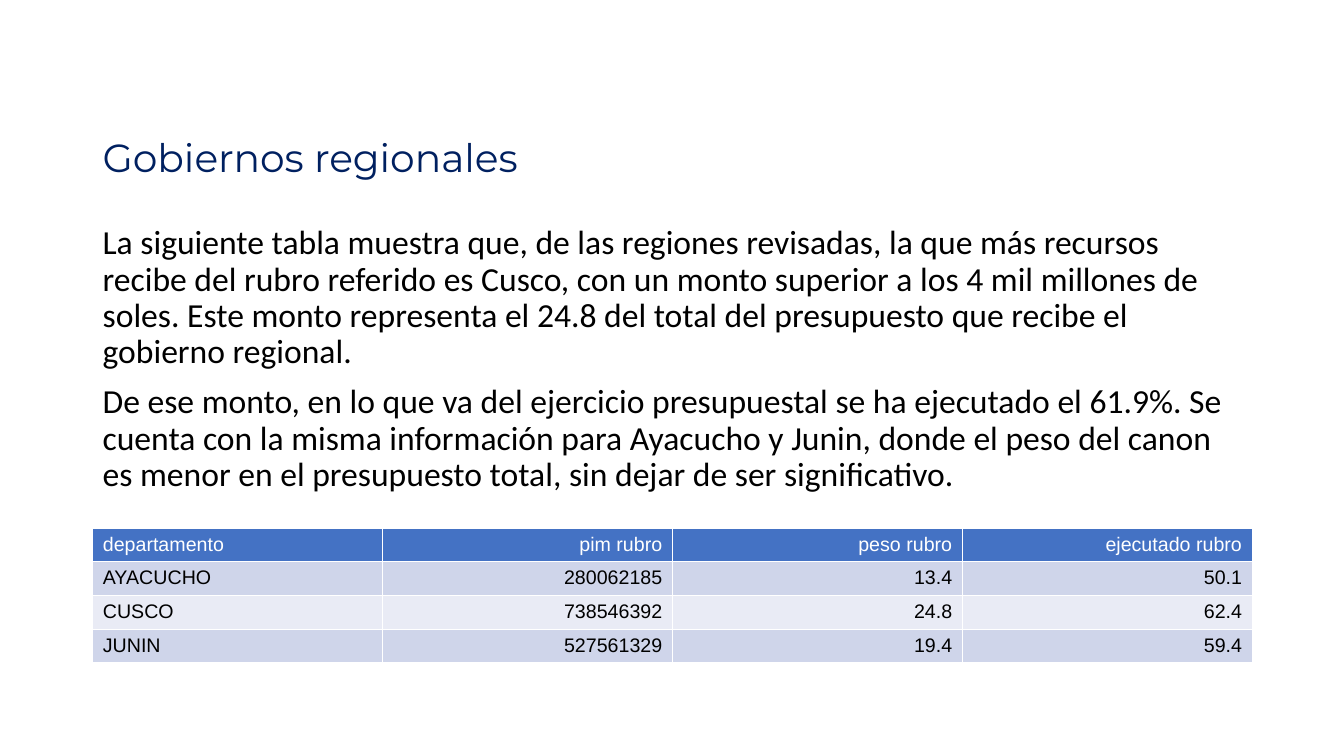
from dataclasses import dataclass

from pptx import Presentation
from pptx.dml.color import RGBColor
from pptx.enum.text import MSO_ANCHOR, PP_ALIGN
from pptx.util import Inches, Pt

LEFT, RIGHT = PP_ALIGN.LEFT, PP_ALIGN.RIGHT
TOP, MIDDLE = MSO_ANCHOR.TOP, MSO_ANCHOR.MIDDLE
COLORS = {
    "title": "002060",
    "text": "000000",
    "header_text": "FFFFFF",
    "header": "4472C4",
    "odd_row": "CFD5EA",
    "even_row": "E9EBF5",
}
MARGIN_LEFT, CONTENT_WIDTH = 0.92, 11.5
TABLE_TOP, ROW_HEIGHT = 5.24, 0.32


@dataclass
class TextStyle:
    font: str
    size: int
    color: str


@dataclass
class TextBlock:
    top: float
    height: float
    anchor: MSO_ANCHOR
    space_before: int
    style: TextStyle
    paragraphs: list[str]


BLOCKS = [
    TextBlock(1.32, 0.53, MIDDLE, 0, TextStyle("Montserrat", 28, "title"),
              ["Gobiernos regionales"]),
    TextBlock(2.19, 4.61, TOP, 10, TextStyle("Calibri", 24, "text"), [
        "La siguiente tabla muestra que, de las regiones revisadas, la que más "
        "recursos recibe del rubro referido es Cusco, con un monto superior a los "
        "4 mil millones de soles. Este monto representa el 24.8 del total del "
        "presupuesto que recibe el gobierno regional.",
        "De ese monto, en lo que va del ejercicio presupuestal se ha ejecutado el "
        "61.9%. Se cuenta con la misma información para Ayacucho y Junin, donde el "
        "peso del canon es menor en el presupuesto total, sin dejar de ser "
        "significativo.",
    ]),
]
BUDGET_ROWS = [
    ["departamento", "pim rubro", "peso rubro", "ejecutado rubro"],
    ["AYACUCHO", "280062185", "13.4", "50.1"],
    ["CUSCO", "738546392", "24.8", "62.4"],
    ["JUNIN", "527561329", "19.4", "59.4"],
]


def rgb(name: str) -> RGBColor:
    return RGBColor.from_string(COLORS[name])


def style_paragraph(paragraph, style: TextStyle, align: PP_ALIGN = LEFT) -> None:
    paragraph.alignment = align
    paragraph.font.name = style.font
    paragraph.font.size = Pt(style.size)
    paragraph.font.bold = False
    paragraph.font.color.rgb = rgb(style.color)


def add_text_block(page, block: TextBlock) -> None:
    box = page.shapes.add_textbox(Inches(MARGIN_LEFT), Inches(block.top),
                                  Inches(CONTENT_WIDTH), Inches(block.height))
    frame = box.text_frame
    frame.word_wrap = True
    frame.vertical_anchor = block.anchor
    frame.text = "\n".join(block.paragraphs)
    for paragraph in frame.paragraphs:
        style_paragraph(paragraph, block.style)
        paragraph.line_spacing = 0.9
        paragraph.space_before = Pt(block.space_before)


def add_budget_table(page, rows: list[list[str]]) -> None:
    table = page.shapes.add_table(
        len(rows), len(rows[0]), Inches(MARGIN_LEFT), Inches(TABLE_TOP),
        Inches(CONTENT_WIDTH), Inches(ROW_HEIGHT * len(rows))).table
    for row_index, values in enumerate(rows):
        if row_index == 0:
            fill, text_color = "header", "header_text"
        else:
            fill, text_color = ("odd_row" if row_index % 2 else "even_row"), "text"
        for column_index, value in enumerate(values):
            cell = table.cell(row_index, column_index)
            cell.fill.solid()
            cell.fill.fore_color.rgb = rgb(fill)
            cell.text = value
            style_paragraph(cell.text_frame.paragraphs[0],
                            TextStyle("Arial", 14, text_color),
                            RIGHT if column_index else LEFT)


def main() -> None:
    deck = Presentation()
    deck.slide_width, deck.slide_height = Inches(13.33), Inches(7.5)
    page = deck.slides.add_slide(deck.slide_layouts[6])
    for block in BLOCKS:
        add_text_block(page, block)
    add_budget_table(page, BUDGET_ROWS)
    deck.save("out.pptx")


if __name__ == "__main__":
    main()
